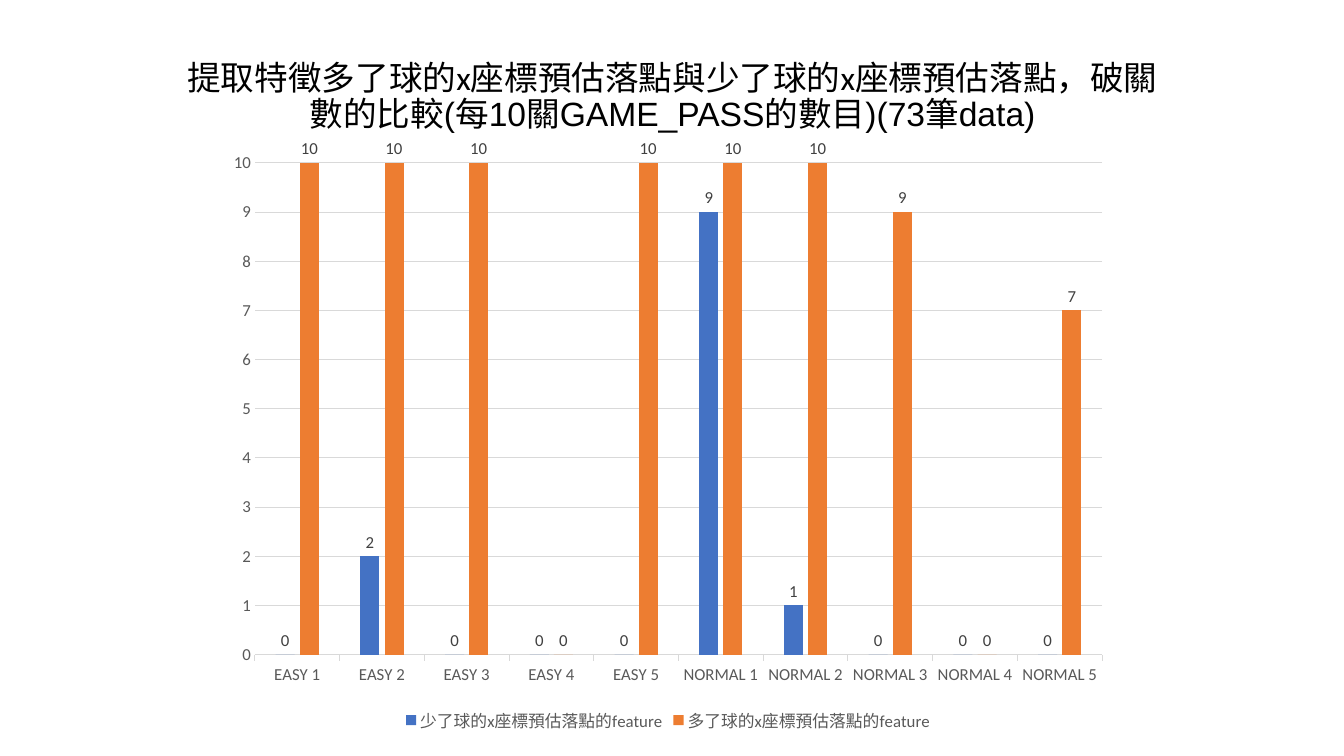
from pptx import Presentation
from pptx.chart.data import CategoryChartData
from pptx.dml.color import RGBColor
from pptx.enum.chart import XL_CHART_TYPE, XL_LABEL_POSITION, XL_LEGEND_POSITION, XL_TICK_MARK
from pptx.enum.text import MSO_ANCHOR, PP_ALIGN
from pptx.util import Inches, Pt

COLUMNS = XL_CHART_TYPE.COLUMN_CLUSTERED
OUTSIDE_END = XL_LABEL_POSITION.OUTSIDE_END
LEGEND_BOTTOM = XL_LEGEND_POSITION.BOTTOM
TICK_NONE, TICK_OUT = XL_TICK_MARK.NONE, XL_TICK_MARK.OUTSIDE

BLACK = RGBColor(0x00, 0x00, 0x00)
DARK_GREY = RGBColor(0x40, 0x40, 0x40)
GREY = RGBColor(0x59, 0x59, 0x59)
LIGHT_GREY = RGBColor(0xD9, 0xD9, 0xD9)
BLUE = RGBColor(0x44, 0x72, 0xC4)
ORANGE = RGBColor(0xED, 0x7D, 0x31)

TITLE = [
    ("提取特徵多了", "Arial"),
    ("球的x座標預估落點", "Calibri"),
    ("與少了", "Arial"),
    ("球的x座標預估落點", "Calibri"),
    ("，破關數的比較(每10關GAME_PASS的數目)(73筆data)", "Arial"),
]
LEVELS = [f"{mode} {number}" for mode in ("EASY", "NORMAL") for number in range(1, 6)]
SERIES = [
    ("少了球的x座標預估落點的feature", BLUE, (0, 2, 0, 0, 0, 9, 1, 0, 0, 0)),
    ("多了球的x座標預估落點的feature", ORANGE, (10, 10, 10, 0, 10, 10, 10, 9, 0, 7)),
]


def set_font(font, size, color, name="Calibri"):
    font.size = Pt(size)
    font.color.rgb = color
    font.name = name


def set_line(line):
    line.color.rgb = LIGHT_GREY
    line.width = Pt(0.75)


def add_title(page):
    box = page.shapes.add_textbox(Inches(1.67), Inches(0.47), Inches(10), Inches(0.91))
    frame = box.text_frame
    frame.word_wrap = True
    frame.vertical_anchor = MSO_ANCHOR.BOTTOM
    para = frame.paragraphs[0]
    para.alignment = PP_ALIGN.CENTER
    para.line_spacing = 0.9
    for text, font_name in TITLE:
        span = para.add_run()
        span.text = text
        set_font(span.font, 24, BLACK, font_name)


def add_pass_chart(page):
    data = CategoryChartData()
    data.categories = LEVELS
    for name, _, passes in SERIES:
        data.add_series(name, passes)
    chart = page.shapes.add_chart(
        COLUMNS, Inches(2.14), Inches(1.38), Inches(8.97), Inches(5.93), data
    ).chart
    set_font(chart.font, 10, BLACK)
    chart.has_title = False
    chart.has_legend = True
    chart.legend.position = LEGEND_BOTTOM
    chart.legend.include_in_layout = False
    set_font(chart.legend.font, 12, GREY)

    levels, passes_axis = chart.category_axis, chart.value_axis
    for axis, tick in ((levels, TICK_OUT), (passes_axis, TICK_NONE)):
        axis.major_tick_mark = tick
        axis.minor_tick_mark = TICK_NONE
        set_font(axis.tick_labels.font, 12, GREY)
    set_line(levels.format.line)
    passes_axis.format.line.fill.background()
    passes_axis.minimum_scale = 0
    passes_axis.maximum_scale = 10
    passes_axis.major_unit = 1
    set_line(passes_axis.major_gridlines.format.line)

    plot = chart.plots[0]
    plot.gap_width = 219
    plot.overlap = -27
    plot.vary_by_categories = False
    for series, (_, color, _) in zip(plot.series, SERIES):
        series.format.fill.solid()
        series.format.fill.fore_color.rgb = color
        labels = series.data_labels
        labels.show_value = True
        labels.position = OUTSIDE_END
        set_font(labels.font, 12, DARK_GREY)


def main():
    deck = Presentation()
    deck.slide_width, deck.slide_height = Inches(13.33), Inches(7.5)
    page = deck.slides.add_slide(deck.slide_layouts[6])
    add_title(page)
    add_pass_chart(page)
    deck.save("out.pptx")


if __name__ == "__main__":
    main()
